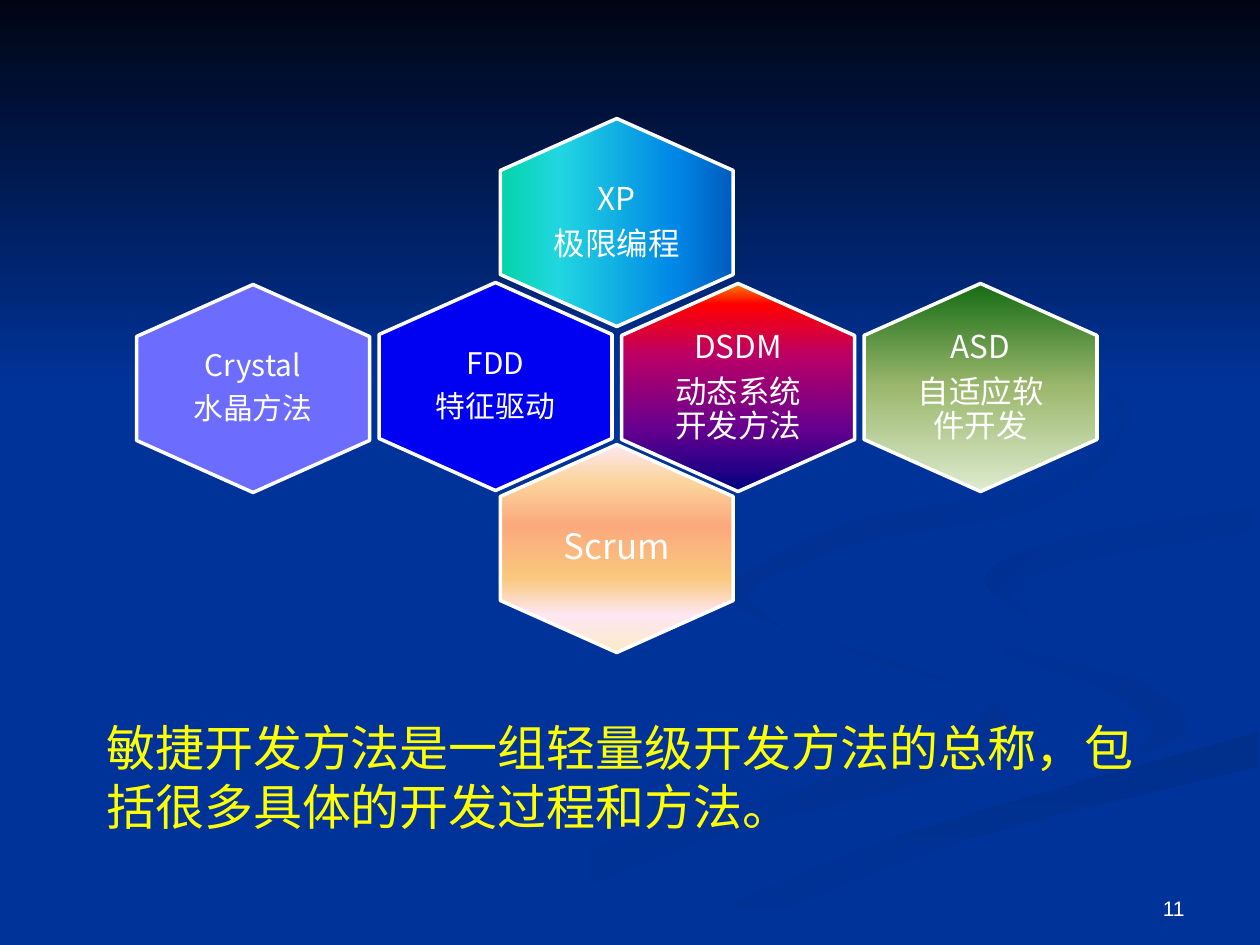
from lxml import etree
from pptx import Presentation
from pptx import util as u
from pptx.dml.color import RGBColor
from pptx.enum import shapes, text
from pptx.oxml.ns import qn

SCALE = u.Inches(1) / 126
CJK = "Noto Sans CJK SC"
COLORS = {
    "bg": "003399", "top": "000514", "wave1": "003193", "wave2": "002F8C",
    "wave3": "003091", "wave4": "002F8E", "white": "FFFFFF", "yellow": "FFFF00",
    "crystal": "6C6CFF", "fdd": "0000F2",
    "green": "03D4A8", "cyan": "21D6E0", "sky": "0087E6", "ocean": "005CBF",
    "navy": "000082", "purple": "66008F", "magenta": "BA0066", "red": "FF0000", "orange": "FF8200",
    "cream": "FBEAC7", "pink": "FEE7F2", "gold": "FAC77D", "salmon": "FBA97D", "peach": "FBD49C",
    "mint": "DDEBCF", "olive": "9CB86E", "forest": "156B13",
}

XP = [(0, "green"), (25, "cyan"), (75, "sky"), (100, "ocean")]
DSDM = [(0, "navy"), (30, "purple"), (65, "magenta"), (90, "red"), (100, "orange")]
SCRUM = [(0, "cream"), (18, "pink"), (36, "gold"), (61, "salmon"), (82, "peach"), (100, "pink")]
ASD = [(0, "mint"), (50, "olive"), (100, "forest")]

HEXAGONS = [
    (1.5, 106, XP, True, ["XP", "极限编程"], 18, 9),
    (0, 272, "crystal", True, ["Crystal", "水晶方法"], 17, 9),
    (1, 270, "fdd", True, ["FDD", "特征驱动"], 17, 9),
    (2, 271, DSDM, False, ["DSDM", "动态系统开发方法"], 18, 0),
    (1.5, 432, SCRUM, False, ["Scrum"], 20, 10),
    (3, 271, ASD, False, ["ASD", "自适应软件开发"], 18, 0),
]

WAVES = [
    (378, 578, [(0, "bg"), (100, "wave1")], 0, [
        [(346, 0), (348, 26), (500, 83), (611, 130), (444, 203), (147, 291), (0, 365)],
        [(77, 365), (333, 260), (605, 184), (606, 118), (396, 47)]]),
    (912, 585, [(0, "bg"), (100, "wave1")], 45, [
        [(0, 0), (26, 33), (159, 76), (246, 105), (273, 147), (214, 178)],
        [(244, 147), (197, 107), (39, 52)]]),
    (634, 732, [(0, "wave2"), (100, "bg")], 90, [
        [(0, 212), (200, 126), (370, 72), (624, 0)],
        [(624, 35), (355, 101), (184, 163), (86, 212)]]),
    (601, 488, "bg", 0, [
        [(312, 97), (398, 154), (539, 193), (583, 247), (382, 311), (179, 374), (0, 456)],
        [(53, 454), (276, 355), (658, 244)],
        [(658, 190), (428, 132), (397, 76), (658, 19)],
        [(658, 0), (417, 38)]]),
    (984, 507, [(0, "wave3"), (100, "bg")], 45, [
        [(273, 0), (68, 35), (0, 73), (57, 118)],
        [(30, 91), (78, 58), (273, 23)]]),
    (727, 294, [(0, "wave4"), (100, "bg")], 45, [
        [(233, 0), (373, 83), (399, 140), (312, 213), (134, 248), (20, 299), (57, 336)],
        [(0, 289), (125, 228), (304, 193), (393, 129), (339, 58)]]),
]


def px(n):
    return u.Emu(round(n * SCALE))


def rgb(name):
    return RGBColor.from_string(COLORS[name])


def smooth(edge, steps=5):
    ends = [edge[0], *edge, edge[-1]]
    curve = []
    for a, b, c, d in zip(ends, ends[1:], ends[2:], ends[3:]):
        for i in range(steps):
            t = i / steps
            curve.append(tuple(
                q + t * (r - p + t * (2 * p - 5 * q + 4 * r - s + t * (3 * q - p - 3 * r + s))) / 2
                for p, q, r, s in zip(a, b, c, d)))
    return curve + [edge[-1]]


def paint(sp, fill, angle=0, turns=True):
    sp.shadow.inherit = False
    sp.line.fill.background()
    if isinstance(fill, str):
        sp.fill.solid()
        sp.fill.fore_color.rgb = rgb(fill)
        return
    sp.fill.gradient()
    grad = sp._element.spPr.find(qn("a:gradFill"))
    grad.set("rotWithShape", str(int(turns)))
    for child in list(grad):
        grad.remove(child)
    stops = etree.SubElement(grad, qn("a:gsLst"))
    for pos, name in fill:
        stop = etree.SubElement(stops, qn("a:gs"), pos=str(pos * 1000))
        etree.SubElement(stop, qn("a:srgbClr"), val=COLORS[name])
    etree.SubElement(grad, qn("a:lin"), ang=str(angle * 60000), scaled="0")


def add_text(s, box, lines, size, font, color, align=text.PP_ALIGN.LEFT,
             anchor=text.MSO_ANCHOR.TOP, inset=None, spacing=None, after=0):
    tf = s.shapes.add_textbox(*map(px, box)).text_frame
    tf.word_wrap = True
    tf.vertical_anchor = anchor
    if inset is not None:
        tf.margin_left = tf.margin_right = tf.margin_top = tf.margin_bottom = px(inset)
    for i, line in enumerate(lines):
        p = tf.add_paragraph() if i else tf.paragraphs[0]
        p.alignment = align
        p.line_spacing = spacing
        p.space_after = u.Pt(after)
        r = p.add_run()
        r.text = line
        r.font.size = u.Pt(size)
        r.font.name = font
        r.font.color.rgb = rgb(color)
        etree.SubElement(r._r.get_or_add_rPr(), qn("a:ea"), typeface=CJK)


def add_wave(s, left, top, fill, angle, edges):
    outline = [(left + x, top + y) for edge in edges for x, y in smooth(edge)]
    builder = s.shapes.build_freeform(*outline[0], scale=SCALE)
    builder.add_line_segments(outline[1:], close=True)
    paint(builder.convert_to_shape(), fill, angle)


def add_backdrop(s, width):
    s.background.fill.solid()
    s.background.fill.fore_color.rgb = rgb("bg")
    for wave in WAVES:
        add_wave(s, *wave)
    band = s.shapes.add_shape(shapes.MSO_SHAPE.RECTANGLE, 0, 0, px(width), px(388))
    paint(band, [(0, "top"), (100, "bg")], 90)


def add_hexagon(s, left, top, fill, turns, lines, size, inset):
    w, h, label_w, label_h = 208, 233, 155, 139
    sp = s.shapes.add_shape(shapes.MSO_SHAPE.HEXAGON, px(left), px(top), px(w), px(h))
    sp.rotation = 90
    paint(sp, fill, 270, turns)
    sp.line.color.rgb = rgb("white")
    sp.line.width = u.Pt(2)
    box = (left + (w - label_w) / 2, top + (h - label_h) / 2, label_w, label_h)
    add_text(s, box, lines, size, CJK, "white", text.PP_ALIGN.CENTER,
             text.MSO_ANCHOR.MIDDLE, inset, 0.9, size * 0.35)


def add_honeycomb(s, left, pitch):
    for column, *hexagon in HEXAGONS:
        add_hexagon(s, left + pitch * column, *hexagon)


def main():
    prs = Presentation()
    prs.slide_width, prs.slide_height = px(1260), px(945)
    s = prs.slides.add_slide(prs.slide_layouts[6])
    add_backdrop(s, 1260)
    add_honeycomb(s, 149, 242.5)
    add_text(s, (94, 711, 1071, 131),
             ["敏捷开发方法是一组轻量级开发方法的总称，包括很多具体的开发过程和方法。"],
             28, "Times New Roman", "yellow")
    add_text(s, (903, 861, 294, 66), ["11"], 12, "Arial", "white",
             text.PP_ALIGN.RIGHT, text.MSO_ANCHOR.BOTTOM)
    prs.save("out.pptx")


if __name__ == "__main__":
    main()
